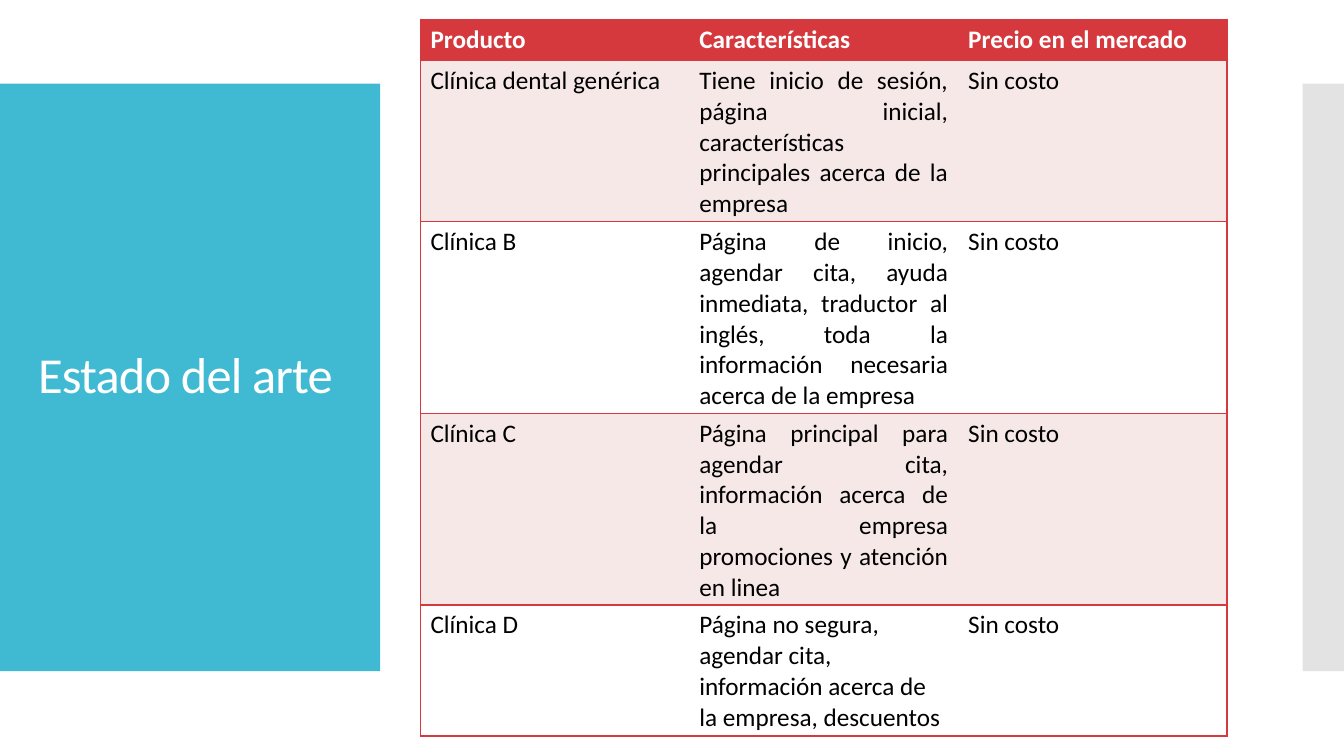
from lxml import etree
from pptx import Presentation
from pptx import util as u
from pptx.dml.color import RGBColor
from pptx.enum import shapes, text
from pptx.oxml.ns import qn

TEAL = RGBColor(0x40, 0xBA, 0xD2)
GREY = RGBColor(0xC8, 0xC8, 0xC8)
RED = RGBColor(0xD5, 0x39, 0x3D)
PINK = RGBColor(0xF7, 0xE8, 0xE8)
WHITE = RGBColor(0xFF, 0xFF, 0xFF)
BLACK = RGBColor(0, 0, 0)
FONT = "Calibri"

ROWS = [
    ("Producto", "Características", "Precio en el mercado"),
    ("Clínica dental genérica",
     "Tiene inicio de sesión, página inicial, características principales "
     "acerca de la empresa", "Sin costo"),
    ("Clínica B",
     "Página de inicio, agendar cita, ayuda inmediata, traductor al inglés, "
     "toda la información necesaria acerca de la empresa", "Sin costo"),
    ("Clínica C",
     "Página principal para agendar cita, información acerca de la empresa "
     "promociones y atención en linea", "Sin costo"),
    ("Clínica D",
     "Página no segura, agendar cita, información acerca de la empresa, "
     "descuentos", "Sin costo"),
]


def add_border(cell, side, color):
    """Draw one cell edge at 1 pt, or hide it when color is None."""
    ln = etree.SubElement(cell._tc.get_or_add_tcPr(), qn("a:ln" + side),
                          w=str(u.Pt(1)))
    if color is None:
        etree.SubElement(ln, qn("a:noFill"))
    else:
        fill = etree.SubElement(ln, qn("a:solidFill"))
        etree.SubElement(fill, qn("a:srgbClr"), val=str(color))


prs = Presentation()
prs.slide_width, prs.slide_height = u.Inches(13.33), u.Inches(7.5)
s = prs.slides.add_slide(prs.slide_layouts[6])

# Side bands
for left, width, color in ((0, 3.77, TEAL), (12.92, 0.41, GREY)):
    sp = s.shapes.add_shape(shapes.MSO_SHAPE.RECTANGLE, u.Inches(left),
                            u.Inches(0.83), u.Inches(width), u.Inches(5.83))
    sp.shadow.inherit = False
    sp.fill.solid()
    sp.fill.fore_color.rgb = color
    sp.line.fill.background()
    if color == GREY:
        clr = sp._element.spPr.find(qn("a:solidFill")).find(qn("a:srgbClr"))
        etree.SubElement(clr, qn("a:alpha"), val="50000")

# Title
title = s.shapes.add_textbox(u.Inches(0.28), u.Inches(1.23),
                             u.Inches(3.22), u.Inches(5.03))
tf = title.text_frame
tf.word_wrap = True
tf.vertical_anchor = text.MSO_ANCHOR.MIDDLE
p = tf.paragraphs[0]
p.line_spacing = 0.9
p.font.size, p.font.name, p.font.color.rgb = u.Pt(36), FONT, WHITE
r = p.add_run()
r.text = "Estado del arte"
r.font.size, r.font.name, r.font.color.rgb = u.Pt(36), FONT, WHITE
r._r.get_or_add_rPr().set("spc", "-60")

# Comparison table
n_cols = len(ROWS[0])
table = s.shapes.add_table(len(ROWS), n_cols, u.Inches(4.17), u.Inches(0.19),
                           u.Inches(8), u.Inches(0.41 * len(ROWS))).table
for i, row in enumerate(ROWS):
    header = i == 0
    for j, words in enumerate(row):
        cell = table.cell(i, j)
        add_border(cell, "L", RED if j == 0 else None)
        add_border(cell, "R", RED if j == n_cols - 1 else None)
        add_border(cell, "T", RED)
        add_border(cell, "B", RED)
        cell.fill.solid()
        cell.fill.fore_color.rgb = RED if header else PINK if i % 2 else WHITE
        cell.text = words
        p = cell.text_frame.paragraphs[0]
        p.font.size, p.font.name, p.font.bold = u.Pt(18), FONT, header
        p.font.color.rgb = WHITE if header else BLACK
        if j == 1 and 0 < i < len(ROWS) - 1:
            p.alignment = text.PP_ALIGN.JUSTIFY

prs.save("out.pptx")
